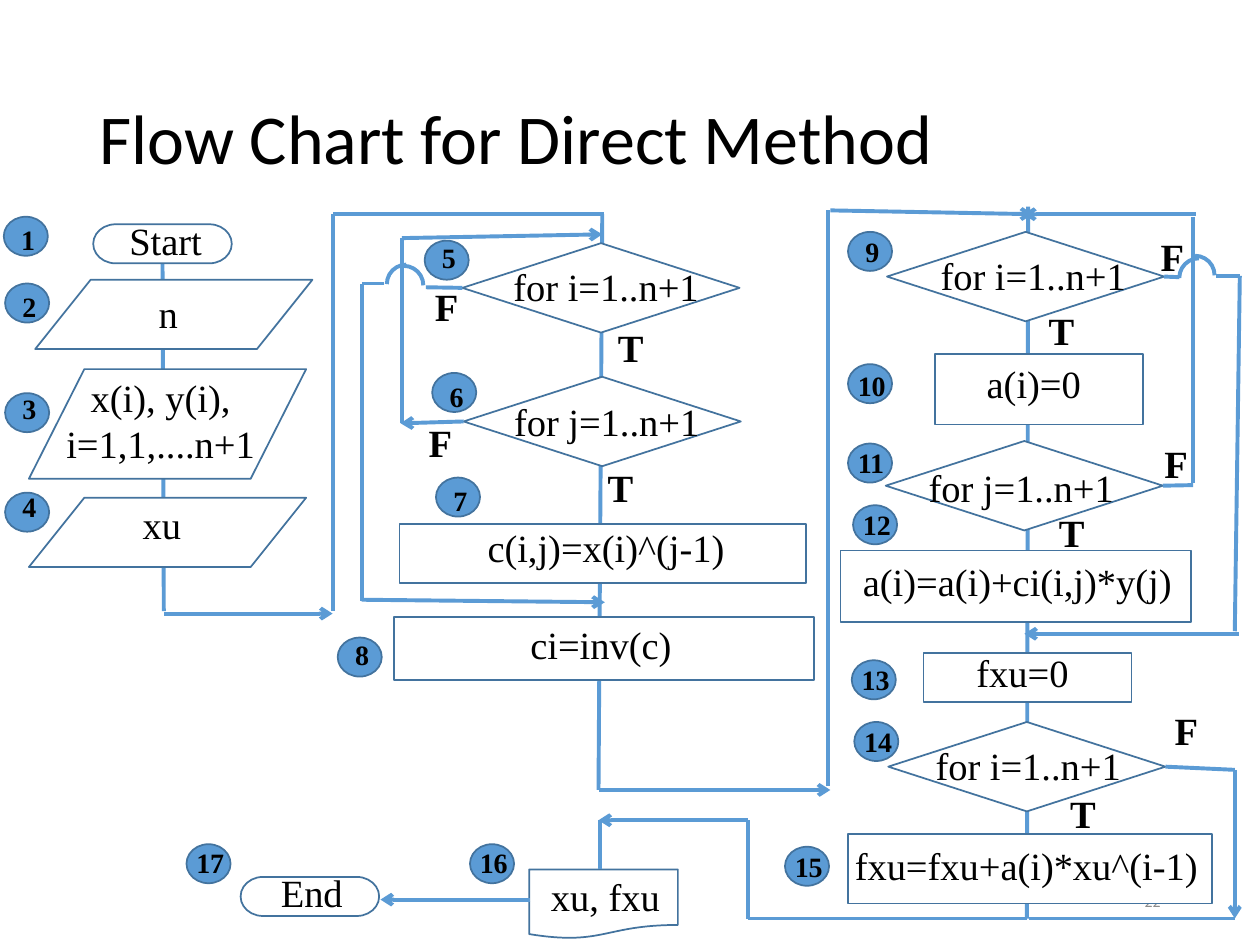
from lxml.etree import SubElement
from pptx import Presentation
from pptx.dml.color import RGBColor
from pptx.enum.shapes import MSO_CONNECTOR, MSO_SHAPE
from pptx.enum.text import MSO_ANCHOR, PP_ALIGN
from pptx.oxml.ns import qn
from pptx.util import Inches, Pt

BLUE = RGBColor(0x5B, 0x9B, 0xD5)
OUTLINE = RGBColor(0x43, 0x73, 0x9E)
WHITE = RGBColor(0xFF, 0xFF, 0xFF)
BLACK = RGBColor(0, 0, 0)
GRAY = RGBColor(0x8C, 0x8C, 0x8C)
SERIF = "Times New Roman"

DATA = MSO_SHAPE.FLOWCHART_DATA
DECISION = MSO_SHAPE.FLOWCHART_DECISION
TERMINATOR = MSO_SHAPE.FLOWCHART_TERMINATOR
DOCUMENT = MSO_SHAPE.FLOWCHART_DOCUMENT
PROCESS = MSO_SHAPE.RECTANGLE
LEFT, RIGHT = 1, 3
TEXT_HEIGHT = 0.47

# step: (kind, (left, top, width, height), text, (text left, top, width))
NODES = {
    1: (TERMINATOR, (0.74, 1.78, 1.1, 0.31), "Start", (0.45, 1.67, 1.73)),
    2: (DATA, (0.28, 2.22, 2.2, 0.55), "n", (0.47, 2.25, 1.73)),
    3: (DATA, (0.23, 2.93, 2.2, 0.87), "x(i), y(i), i=1,1,....n+1", (0.26, 2.92, 2.03)),
    4: (DATA, (0.23, 3.95, 2.2, 0.55), "xu", (0.42, 3.93, 1.73)),
    5: (DECISION, (3.67, 1.93, 2.2, 0.71), "for i=1..n+1", (3.79, 2.04, 2.04)),
    6: (DECISION, (3.68, 2.99, 2.2, 0.71), "for j=1..n+1", (3.8, 3.11, 2.03)),
    7: (PROCESS, (3.17, 4.16, 3.23, 0.47), "c(i,j)=x(i)^(j-1)", (3.47, 4.11, 2.68)),
    8: (PROCESS, (3.13, 4.9, 3.33, 0.5), "ci=inv(c)", (3.04, 4.88, 3.46)),
    9: (DECISION, (7.04, 1.84, 2.2, 0.71), "for i=1..n+1", (7.18, 1.95, 2.04)),
    10: (PROCESS, (7.42, 2.81, 1.65, 0.56), "a(i)=0", (7.34, 2.81, 1.73)),
    11: (DECISION, (7.03, 3.5, 2.2, 0.71), "for j=1..n+1", (7.09, 3.63, 2.03)),
    12: (PROCESS, (6.67, 4.37, 2.78, 0.57), "a(i)=a(i)+ci(i,j)*y(j)", (6.57, 4.38, 3.01)),
    13: (PROCESS, (7.33, 5.18, 1.65, 0.39), "fxu=0", (7.25, 5.1, 1.73)),
    14: (DECISION, (7.05, 5.73, 2.2, 0.71), "for i=1..n+1", (7.14, 5.84, 2.04)),
    15: (PROCESS, (6.73, 6.62, 2.89, 0.55), "fxu=fxu+a(i)*xu^(i-1)", (6.59, 6.63, 3.11)),
    16: (DOCUMENT, (4.2, 6.9, 1.18, 0.55), "xu, fxu", (3.94, 6.88, 1.73)),
    17: (TERMINATOR, (1.91, 6.96, 1.1, 0.31), "End", (1.61, 6.85, 1.73)),
}

BRANCH_LABELS = {
    "T": [(4.7, 2.52), (4.62, 3.63), (8.12, 2.39), (8.2, 3.99), (8.29, 6.22)],
    "F": [(3.24, 2.2), (3.19, 3.28), (9, 1.8), (9.03, 3.44), (9.11, 5.56)],
}

# step: (left, top, text top)
BADGES = {
    1: (0.03, 1.72, 1.72), 2: (0.04, 2.25, 2.25), 3: (0.04, 3.12, 3.06),
    4: (0.04, 3.91, 3.84), 5: (3.37, 1.91, 1.86), 6: (3.43, 2.96, 2.96),
    7: (3.46, 3.79, 3.79), 8: (2.68, 5.06, 5.01), 9: (6.73, 1.84, 1.81),
    10: (6.73, 2.89, 2.88), 11: (6.73, 3.52, 3.49), 12: (6.77, 4.01, 3.98),
    13: (6.76, 5.24, 5.21), 14: (6.78, 5.73, 5.7), 15: (6.23, 6.72, 6.69),
    16: (3.73, 6.7, 6.66), 17: (1.48, 6.7, 6.66),
}

# Spines run behind the nodes
SPINES = [
    [(8.16, 1.64), (8.15, 7.29)],
    [(4.78, 1.7), (4.75, 6.27)],
    [(1.29, 2.09), (1.3, 4.85)],
]
PLAIN_ROUTES = [
    [(4.79, 1.7), (2.64, 1.7), (2.64, 4.85)],
    [(3.05, 2.25), (2.87, 2.25), (2.87, 4.77)],
    [(3.19, 3.36), (3.19, 1.89)],
    [(6.57, 6.24), (6.57, 1.67)],
    [(9.47, 3.83), (9.47, 1.72)],
    [(9.65, 2.19), (9.84, 2.19), (9.8, 5.01)],
    [(9.8, 7.29), (8.17, 7.29)],
    [(8.15, 7.29), (5.94, 7.29), (5.94, 6.51)],
    [(4.76, 6.51), (4.76, 6.9)],
]
ARROWS = [
    [(1.3, 4.87), (2.64, 4.87)],
    [(3.19, 1.89), (4.78, 1.86)],
    [(2.87, 4.76), (4.8, 4.78)],
    [(4.75, 6.27), (6.59, 6.27)],
    [(6.59, 1.67), (8.2, 1.7)],
    [(9.49, 1.7), (8.12, 1.7)],
    [(9.83, 5.03), (8.13, 5.03)],
    [(9.8, 6.11), (9.8, 7.29)],
    [(5.94, 6.51), (4.75, 6.51)],
    [(4.21, 7.14), (3.02, 7.14)],
]
# (step, side, end point, arrow)
FALSE_EXITS = [
    (5, LEFT, (3.38, 2.28), False),
    (6, LEFT, (3.18, 3.36), True),
    (9, RIGHT, (9.36, 2.2), False),
    (11, RIGHT, (9.47, 3.85), False),
    (14, RIGHT, (9.8, 6.11), False),
]
# Quarter arcs that hop over a crossing line: (left, top, flipped)
HOPS = [(3.05, 2.11, False), (3.07, 2.1, True), (9.33, 2.03, False), (9.36, 2.05, True)]

presentation = Presentation()
presentation.slide_width, presentation.slide_height = Inches(10), Inches(7.5)
slide = presentation.slides.add_slide(presentation.slide_layouts[6])


def add_text(text, left, top, width, height, size=22, font=SERIF, bold=False, color=BLACK,
             align=PP_ALIGN.CENTER, anchor=MSO_ANCHOR.TOP, parent=slide):
    box = parent.shapes.add_textbox(Inches(left), Inches(top), Inches(width), Inches(height))
    frame = box.text_frame
    frame.word_wrap = True
    frame.vertical_anchor = anchor
    paragraph = frame.paragraphs[0]
    paragraph.text = text
    paragraph.alignment = align
    paragraph.font.size = Pt(size)
    paragraph.font.name = font
    paragraph.font.bold = bold
    paragraph.font.color.rgb = color
    return paragraph


def add_outlined(kind, box, fill=WHITE, line=OUTLINE, weight=1, parent=slide):
    shape = parent.shapes.add_shape(kind, *map(Inches, box))
    shape.shadow.inherit = False
    if fill is None:
        shape.fill.background()
    else:
        shape.fill.solid()
        shape.fill.fore_color.rgb = fill
    shape.line.color.rgb = line
    shape.line.width = Pt(weight)
    return shape


def add_line(start, end, arrow=False):
    connector = slide.shapes.add_connector(MSO_CONNECTOR.STRAIGHT, *map(Inches, (*start, *end)))
    connector.line.color.rgb = BLUE
    connector.line.width = Pt(2.25)
    properties = connector._element.spPr
    if arrow:
        SubElement(properties.find(qn("a:ln")), qn("a:tailEnd"), type="arrow")
    SubElement(properties, qn("a:effectLst"))
    return connector


def add_routes(routes, arrow=False):
    for route in routes:
        for start, end in zip(route, route[1:]):
            add_line(start, end, arrow)


add_routes(SPINES)
title = add_text("Flow Chart for Direct Method", 0.69, 0.4, 8.62, 1.45, size=40, font="Calibri",
                 align=PP_ALIGN.LEFT, anchor=MSO_ANCHOR.MIDDLE)
title.line_spacing = 0.9
add_text("22", 7.06, 6.95, 2.25, 0.4, size=9, font="Calibri", color=GRAY,
         align=PP_ALIGN.RIGHT, anchor=MSO_ANCHOR.MIDDLE)

node_shapes = {}
for step, (kind, box, text, text_box) in NODES.items():
    node_shapes[step] = add_outlined(kind, box)
    add_text(text, *text_box, max(TEXT_HEIGHT, box[3] - 0.03) if step == 3 else TEXT_HEIGHT)

for label, places in BRANCH_LABELS.items():
    for left, top in places:
        add_text(label, left, top, 0.61, TEXT_HEIGHT, bold=True)

add_routes(PLAIN_ROUTES)
add_routes(ARROWS, arrow=True)
for step, side, end, arrow in FALSE_EXITS:
    add_line(end, end, arrow).begin_connect(node_shapes[step], side)

for left, top, flipped in HOPS:
    hop = add_outlined(MSO_SHAPE.ARC, (left, top, 0.31, 0.31), None, BLUE, 2.25)
    if flipped:
        hop._element.spPr.find(qn("a:xfrm")).set("flipH", "1")

for step, (left, top, text_top) in BADGES.items():
    badge = slide.shapes.add_group_shape()
    add_outlined(MSO_SHAPE.OVAL, (left, top, 0.35, 0.31), BLUE, parent=badge)
    shift = 0.04 if step < 10 else -0.02
    add_text(str(step), left + shift, text_top, 0.53, 0.37, size=16, bold=True,
             align=PP_ALIGN.LEFT, parent=badge)

presentation.save("out.pptx")
